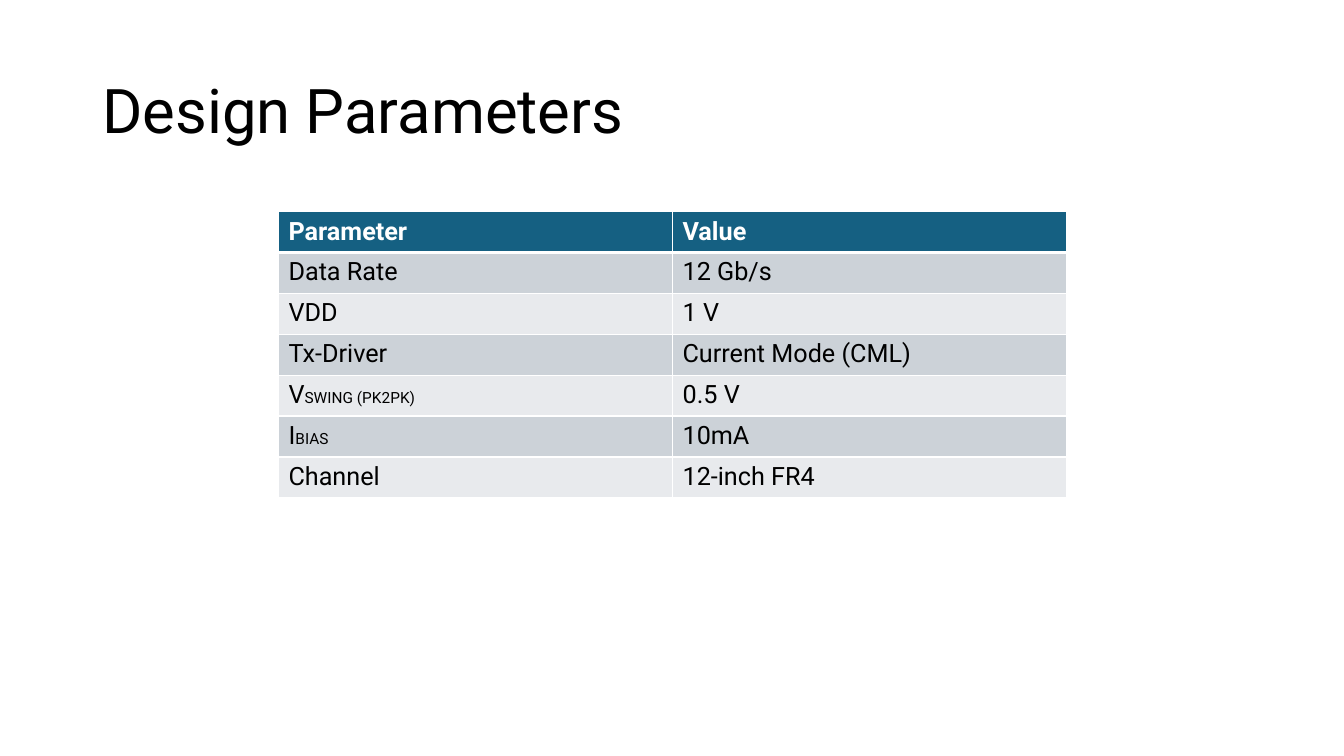
from lxml.etree import SubElement
from pptx import Presentation
from pptx.dml.color import RGBColor
from pptx.enum.text import MSO_ANCHOR as Anchor
from pptx.oxml.ns import qn
from pptx.util import Pt

FONT = "Roboto"
BLACK, WHITE, TEAL = "000000", "FFFFFF", "156082"
BANDS = ("CCD2D8", "E8EAED")
TEXT_SIZE, SUBSCRIPT_SIZE = 18, 11
COLUMN_WIDTH, ROW_HEIGHT = 281.5, 29.2

PARAMETERS = [
    (["Parameter"], "Value"),
    (["Data Rate"], "12 Gb/s"),
    (["VDD"], "1 V"),
    (["Tx-Driver"], "Current Mode (CML)"),
    (["V", "SWING (PK2PK)"], "0.5 V"),
    (["I", "BIAS"], "10mA"),
    (["Channel"], "12-inch FR4"),
]


def color(value):
    """Turn a hex string into a colour."""
    return RGBColor.from_string(value)


def add_span(para, text, size, ink, bold=False):
    """Add one formatted run to a paragraph."""
    span = para.add_run()
    span.text = text
    span.font.name = FONT
    span.font.size = Pt(size)
    span.font.bold = bold
    span.font.color.rgb = color(ink)


def add_title(page, text):
    """Place the slide title."""
    box = page.shapes.add_textbox(Pt(66), Pt(28.75), Pt(828), Pt(104.4))
    frame = box.text_frame
    frame.word_wrap = True
    frame.vertical_anchor = Anchor.MIDDLE
    para = frame.paragraphs[0]
    para.line_spacing = 0.9
    add_span(para, text, 44, BLACK)


def set_borders(cell, top, bottom):
    """Draw white borders around a cell."""
    properties = cell._tc.get_or_add_tcPr()
    widths = {"a:lnL": 1, "a:lnR": 1, "a:lnT": top, "a:lnB": bottom}
    for tag, width in widths.items():
        line = SubElement(properties, qn(tag), w=str(Pt(width)))
        fill = SubElement(line, qn("a:solidFill"))
        SubElement(fill, qn("a:srgbClr"), val=WHITE)


def fill_cell(cell, texts, row):
    """Write and style a cell; a second text is set small."""
    header = row == 0
    set_borders(cell, 3 if row == 1 else 1, 3 if header else 1)
    cell.fill.solid()
    cell.fill.fore_color.rgb = color(TEAL if header else BANDS[(row - 1) % 2])
    para = cell.text_frame.paragraphs[0]
    for text, size in zip(texts, (TEXT_SIZE, SUBSCRIPT_SIZE)):
        add_span(para, text, size, WHITE if header else BLACK, header)


def add_parameter_table(page, rows):
    """Place the table of parameters and values."""
    table = page.shapes.add_table(
        len(rows), 2, Pt(198.9), Pt(151.2),
        Pt(2 * COLUMN_WIDTH), Pt(len(rows) * ROW_HEIGHT),
    ).table
    for column in table.columns:
        column.width = Pt(COLUMN_WIDTH)
    for index, (name, value) in enumerate(rows):
        table.rows[index].height = Pt(ROW_HEIGHT)
        fill_cell(table.cell(index, 0), name, index)
        fill_cell(table.cell(index, 1), [value], index)


def main():
    """Build and save the slide."""
    deck = Presentation()
    deck.slide_width, deck.slide_height = Pt(960), Pt(540)
    page = deck.slides.add_slide(deck.slide_layouts[6])
    add_title(page, "Design Parameters")
    add_parameter_table(page, PARAMETERS)
    deck.save("out.pptx")


if __name__ == "__main__":
    main()
